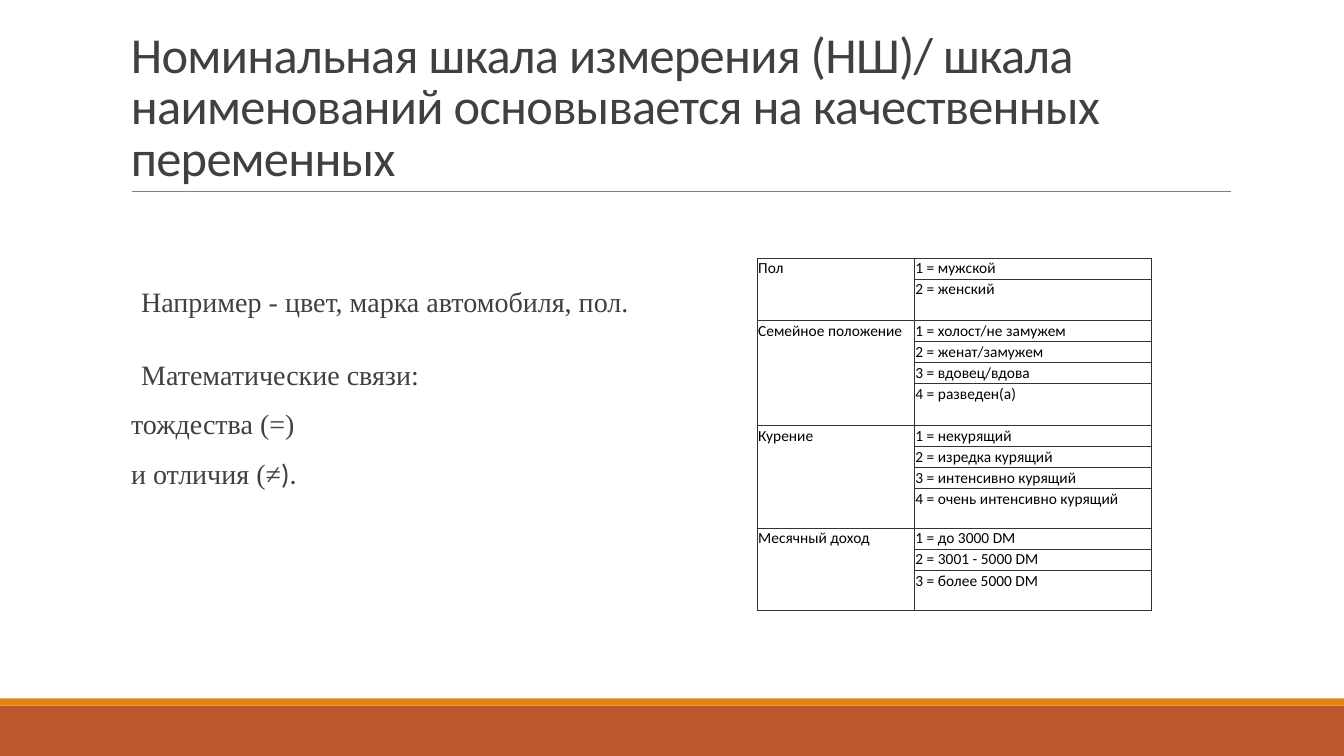
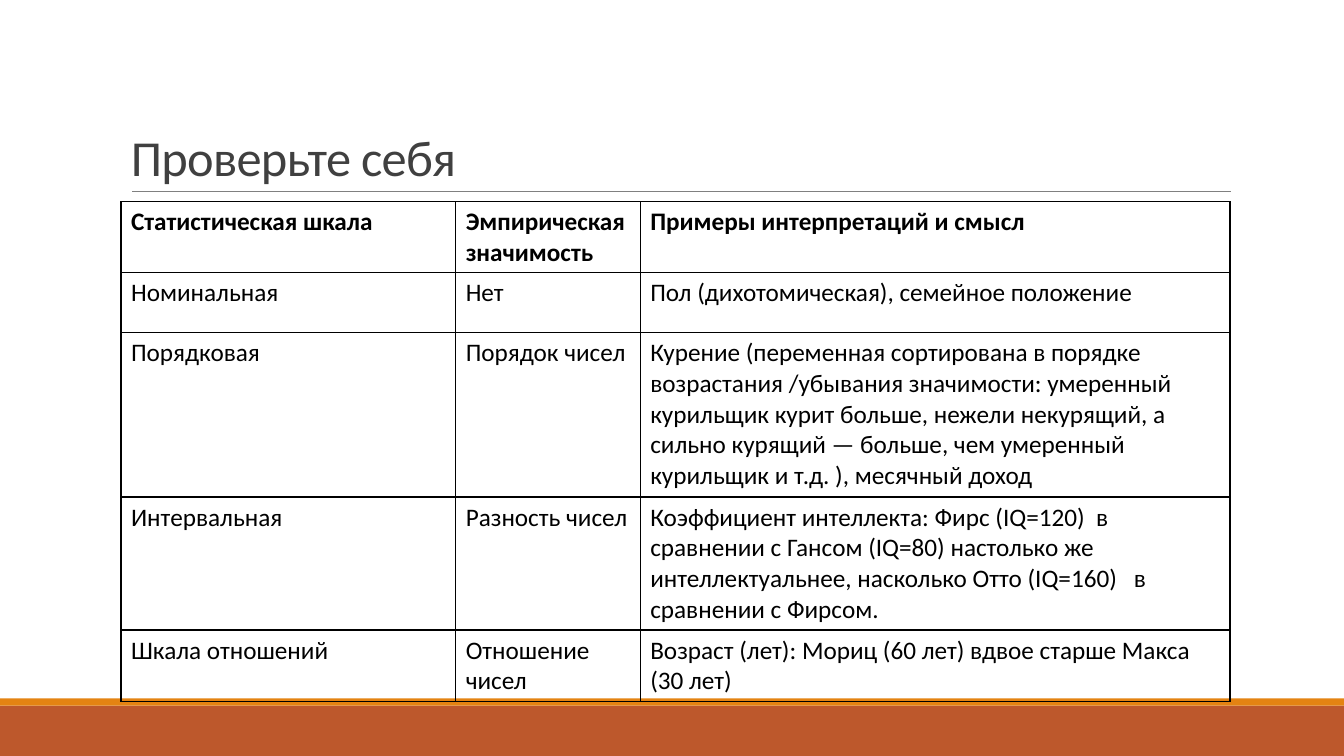
"""Build two slides on statistical measurement scales."""
import dataclasses
import typing

import lxml.etree
import pptx
import pptx.dml.color
import pptx.enum.shapes
import pptx.enum.text
import pptx.oxml.ns
import pptx.util

Inches = pptx.util.Inches
Pt = pptx.util.Pt
qn = pptx.oxml.ns.qn


@dataclasses.dataclass(frozen=True)
class Theme:
    band: str = "BD582C"
    stripe: str = "E48312"
    rule: str = "808080"
    text: str = "404040"
    table_text: str = "000000"
    codebook_border: str = "333333"
    font: str = "Calibri"
    body_font: str = "Times New Roman"
    title_size: float = 36
    body_size: float = 20
    table_size: float = 18
    codebook_size: float = 11


@dataclasses.dataclass(frozen=True)
class Box:
    left: float
    top: float
    width: float
    height: float

    def lengths(self) -> tuple:
        return tuple(Inches(value) for value in dataclasses.astuple(self))


@dataclasses.dataclass(frozen=True)
class Run:
    text: str
    font: str


@dataclasses.dataclass(frozen=True)
class BodyLine:
    runs: tuple[Run, ...]
    line_spacing: float
    space_before: float = 12
    indent: float = 0


@dataclasses.dataclass(frozen=True)
class TableStyle:
    size: float
    border: str
    border_width: float
    margins: dict[str, float]


@dataclasses.dataclass(frozen=True)
class Variable:
    name: str
    codes: tuple[str, ...]
    last_height: float


THEME = Theme()
BANDS = (
    (Box(0, 7, 13.33, 0.5), THEME.band),
    (Box(0, 6.93, 13.33, 0.07), THEME.stripe),
)
TITLE_BOX = Box(1.2, 0.31, 11, 1.59)
RULE_LEFT, RULE_RIGHT, RULE_TOP = 1.31, 12.21, 1.9
BODY_BOX = Box(1.3, 2.77, 6, 3.65)
BODY_LINES = (
    BodyLine((Run("Например - цвет, марка автомобиля, пол.", THEME.body_font),), 1, 0, 0.1),
    BodyLine((Run("Математические связи:", THEME.body_font),), 1.6, indent=0.1),
    BodyLine((Run("тождества (=)", THEME.body_font),), 0.9),
    BodyLine((Run("и отличия (≠", THEME.body_font), Run(").", THEME.font)), 0.9),
)
CODE_HEIGHT = 0.21
VARIABLES = (
    Variable("Пол", ("1 = мужской", "2 = женский"), 0.41),
    Variable(
        "Семейное положение",
        ("1 = холост/не замужем", "2 = женат/замужем", "3 = вдовец/вдова", "4 = разведен(а)"),
        0.41,
    ),
    Variable(
        "Курение",
        (
            "1 = некурящий",
            "2 = изредка курящий",
            "3 = интенсивно курящий",
            "4 = очень интенсивно курящий",
        ),
        0.39,
    ),
    Variable("Месячный доход", ("1 = до 3000 DM", "2 = 3001 - 5000 DM", "3 = более 5000 DM"), 0.4),
)
SCALE_ROWS = (
    ("Статистическая шкала", "Эмпирическая значимость", "Примеры интерпретаций и смысл"),
    ("Номинальная", "Нет", "Пол (дихотомическая), семейное положение"),
    (
        "Порядковая",
        "Порядок чисел",
        "Курение (переменная сортирована в порядке возрастания /убывания значимости: "
        "умеренный курильщик курит больше, нежели некурящий, а сильно курящий — больше, "
        "чем умеренный курильщик и т.д. ), месячный доход",
    ),
    (
        "Интервальная",
        "Разность чисел",
        "Коэффициент интеллекта: Фирс (IQ=120)  в сравнении с Гансом (IQ=80) настолько же "
        "интеллектуальнее, насколько Отто (IQ=160)   в сравнении с Фирсом.",
    ),
    (
        "Шкала отношений",
        "Отношение чисел",
        "Возраст (лет): Мориц (60 лет) вдвое старше Макса (30 лет)",
    ),
)
CODEBOOK_STYLE = TableStyle(
    THEME.codebook_size,
    THEME.codebook_border,
    0.75,
    {"margin_left": 0.01, "margin_right": 0.01, "margin_top": 0.01, "margin_bottom": 0.01},
)
SCALE_STYLE = TableStyle(
    THEME.table_size,
    THEME.table_text,
    1,
    {"margin_left": 0.1, "margin_right": 0.1, "margin_top": 0.05, "margin_bottom": 0.05},
)


def apply_format(target: typing.Any, values: dict[str, typing.Any]) -> None:
    for name, value in values.items():
        setattr(target, name, value)


def rgb(color: str) -> pptx.dml.color.RGBColor:
    return pptx.dml.color.RGBColor.from_string(color)


def add_run(paragraph: typing.Any, text: str, font: str, size: float, color: str,
            bold: bool = False) -> typing.Any:
    run = paragraph.add_run()
    run.text = text
    apply_format(run.font, {"name": font, "size": Pt(size), "bold": bold})
    run.font.color.rgb = rgb(color)
    return run


def add_text_frame(slide: typing.Any, box: Box, values: dict[str, typing.Any]) -> typing.Any:
    text_frame = slide.shapes.add_textbox(*box.lengths()).text_frame
    apply_format(text_frame, {"word_wrap": True, **values})
    return text_frame


def add_frame(slide: typing.Any) -> None:
    for box, color in BANDS:
        band = slide.shapes.add_shape(
            pptx.enum.shapes.MSO_SHAPE.RECTANGLE, *box.lengths()
        )
        band.shadow.inherit = False
        band.fill.solid()
        band.fill.fore_color.rgb = rgb(color)
        band.line.fill.background()
    rule = slide.shapes.add_connector(
        pptx.enum.shapes.MSO_CONNECTOR.STRAIGHT,
        Inches(RULE_LEFT), Inches(RULE_TOP), Inches(RULE_RIGHT), Inches(RULE_TOP),
    )
    rule.line.color.rgb = rgb(THEME.rule)
    rule.line.width = Pt(0.5)
    lxml.etree.SubElement(rule._element.spPr, qn("a:effectLst"))


def add_titled_slide(presentation: typing.Any, title: str) -> typing.Any:
    slide = presentation.slides.add_slide(presentation.slide_layouts[6])
    add_frame(slide)
    text_frame = add_text_frame(
        slide, TITLE_BOX, {"vertical_anchor": pptx.enum.text.MSO_ANCHOR.BOTTOM}
    )
    paragraph = text_frame.paragraphs[0]
    paragraph.line_spacing = 0.85
    run = add_run(paragraph, title, THEME.font, THEME.title_size, THEME.text)
    run._r.get_or_add_rPr().set("spc", "-50")
    return slide


def add_body(slide: typing.Any) -> None:
    text_frame = add_text_frame(slide, BODY_BOX, {"margin_left": 0, "margin_right": 0})
    for index, line in enumerate(BODY_LINES):
        paragraph = text_frame.add_paragraph() if index else text_frame.paragraphs[0]
        apply_format(paragraph, {
            "line_spacing": line.line_spacing,
            "space_before": Pt(line.space_before),
            "space_after": Pt(2),
        })
        paragraph._p.get_or_add_pPr().set("marL", str(Inches(line.indent)))
        for run in line.runs:
            add_run(paragraph, run.text, run.font, THEME.body_size, THEME.text)


def add_table(slide: typing.Any, left: float, top: float, columns: tuple[float, ...],
              rows: list[float], style: TableStyle) -> typing.Any:
    box = Box(left, top, sum(columns), sum(rows))
    table = slide.shapes.add_table(len(rows), len(columns), *box.lengths()).table
    apply_format(table, {"first_row": False, "horz_banding": False})
    for column, width in zip(table.columns, columns):
        column.width = Inches(width)
    for row, height in zip(table.rows, rows):
        row.height = Inches(height)
    for cell in table.iter_cells():
        apply_format(cell, {name: Inches(value) for name, value in style.margins.items()})
        cell.fill.background()
        add_borders(cell, style)
    return table


def add_borders(cell: typing.Any, style: TableStyle) -> None:
    properties = cell._tc.get_or_add_tcPr()
    for position, side in enumerate(("a:lnL", "a:lnR", "a:lnT", "a:lnB")):
        border = lxml.etree.Element(qn(side), w=str(Pt(style.border_width)))
        fill = lxml.etree.SubElement(border, qn("a:solidFill"))
        lxml.etree.SubElement(fill, qn("a:srgbClr"), val=style.border)
        properties.insert(position, border)


def fill_cell(cell: typing.Any, text: str, style: TableStyle, bold: bool = False) -> None:
    paragraph = cell.text_frame.paragraphs[0]
    add_run(paragraph, text, THEME.font, style.size, THEME.table_text, bold)


def add_codebook(slide: typing.Any) -> None:
    heights = []
    for variable in VARIABLES:
        heights += [CODE_HEIGHT] * (len(variable.codes) - 1) + [variable.last_height]
    table = add_table(slide, 7.51, 2.56, (1.56, 2.35), heights, CODEBOOK_STYLE)
    first = 0
    for variable in VARIABLES:
        last = first + len(variable.codes) - 1
        table.cell(first, 0).merge(table.cell(last, 0))
        fill_cell(table.cell(first, 0), variable.name, CODEBOOK_STYLE)
        for offset, code in enumerate(variable.codes):
            fill_cell(table.cell(first + offset, 1), code, CODEBOOK_STYLE)
        first = last + 1


def add_scale_table(slide: typing.Any) -> None:
    heights = [0.7, 0.6, 1.63, 1.32, 0.71]
    table = add_table(slide, 1.2, 2, (3.32, 1.83, 5.85), heights, SCALE_STYLE)
    for row_index, texts in enumerate(SCALE_ROWS):
        for column_index, text in enumerate(texts):
            fill_cell(table.cell(row_index, column_index), text, SCALE_STYLE, row_index == 0)


def main() -> None:
    presentation = pptx.Presentation()
    apply_format(presentation, {"slide_width": Inches(13.33), "slide_height": Inches(7.5)})
    nominal_slide = add_titled_slide(
        presentation,
        "Номинальная шкала измерения (НШ)/ шкала наименований основывается "
        "на качественных переменных",
    )
    add_body(nominal_slide)
    add_codebook(nominal_slide)
    add_scale_table(add_titled_slide(presentation, "Проверьте себя"))
    presentation.save("out.pptx")


if __name__ == "__main__":
    main()
